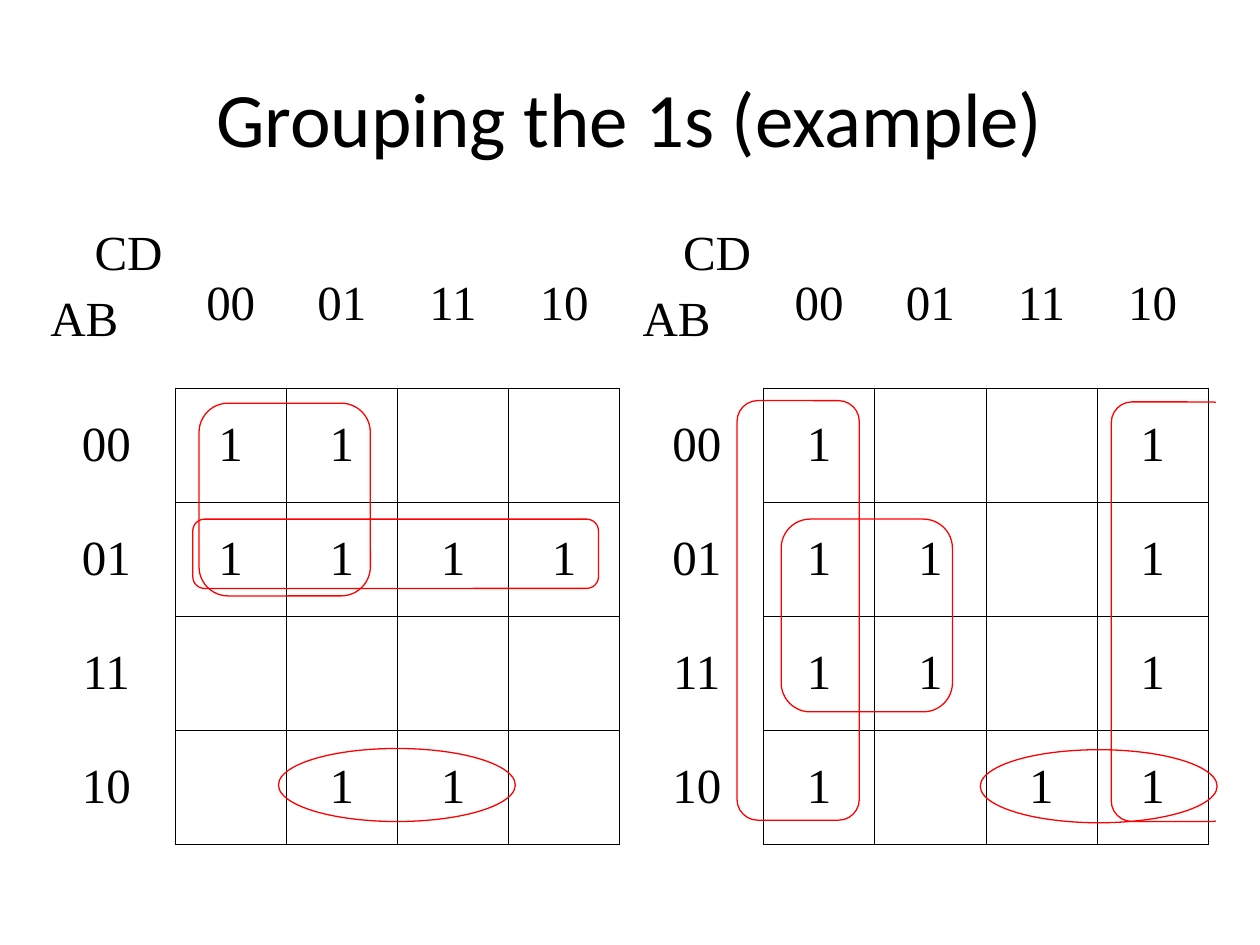
from pptx import Presentation
from pptx.dml.color import RGBColor
from pptx.enum.shapes import MSO_SHAPE as Shape
from pptx.enum.text import MSO_ANCHOR as Anchor, PP_ALIGN as Align
from pptx.oxml import parse_xml
from pptx.oxml.ns import nsdecls
from pptx.util import Inches, Pt

THEME = {
    "ink": "000000", "group": "FF0000", "paper": "FFFFFF",
    "title_font": "Calibri", "title_size": 44,
    "map_font": "Times New Roman", "map_size": 28,
    "space_before": 7, "grid_line": 0.45, "group_line": 0.74,
}


def add_text(para, text, role, align):
    para.alignment = align
    span = para.add_run()
    span.text = text
    span.font.name = THEME[role + "_font"]
    span.font.size = Pt(THEME[role + "_size"])
    span.font.color.rgb = RGBColor.from_string(THEME["ink"])
    if role == "map":
        para.space_before = Pt(THEME["space_before"])


def set_borders(cell, edges):
    for side, drawn in edges.items():
        paint = (f'<a:solidFill><a:srgbClr val="{THEME["ink"]}"/></a:solidFill>'
                 if drawn else "<a:noFill/>")
        cell._tc.get_or_add_tcPr().append(parse_xml(
            f'<a:ln{side} {nsdecls("a")} w="{Pt(THEME["grid_line"])}">{paint}</a:ln{side}>'))


deck = Presentation()
deck.slide_width, deck.slide_height = Inches(10), Inches(7.5)
page = deck.slides.add_slide(deck.slide_layouts[6])

# Title
title_box = page.shapes.add_textbox(Inches(0.5), Inches(0.3), Inches(9), Inches(1.25))
title_box.text_frame.word_wrap = True
title_box.text_frame.vertical_anchor = Anchor.MIDDLE
add_text(title_box.text_frame.paragraphs[0], "Grouping the 1s (example)", "title", Align.CENTER)

# Karnaugh maps: left edge, label column width, one string per row of cells
codes = ["00", "01", "11", "10"]
maps = [
    (0.3, 1.09, ["11..", "1111", "....", ".11."]),
    (5, 1.06, ["1..1", "11.1", "11.1", "1.11"]),
]
top, height, header_height, grid_width = 1.75, 4.95, 1.33, 3.53
for left, label_width, ones in maps:
    table = page.shapes.add_table(5, 5, Inches(left), Inches(top),
                                  Inches(label_width + grid_width), Inches(height)).table
    table.first_row = table.horz_banding = False
    table.columns[0].width = Inches(label_width)
    table.rows[0].height = Inches(header_height)
    for i in range(1, 5):
        table.columns[i].width = Inches(grid_width / 4)
        table.rows[i].height = Inches((height - header_height) / 4)

    rows = [[""] + codes] + [[code, *line.replace(".", " ")] for code, line in zip(codes, ones)]
    for r, row in enumerate(rows):
        for c, text in enumerate(row):
            cell = table.cell(r, c)
            in_grid = r > 0 and c > 0
            set_borders(cell, {"L": in_grid, "R": r > 0, "T": in_grid, "B": c > 0})
            cell.fill.background()
            if text.strip():
                cell.vertical_anchor = Anchor.MIDDLE
                add_text(cell.text_frame.paragraphs[0], text, "map", Align.CENTER)

    # Variable names in the corner
    corner = table.cell(0, 0).text_frame
    add_text(corner.paragraphs[0], "CD", "map", Align.RIGHT)
    add_text(corner.add_paragraph(), "AB", "map", Align.LEFT)

# Groups of ones; the white cover opens the group that wraps round the right edge
groups = [
    (Shape.ROUNDED_RECTANGLE, 1.58, 3.2, 1.36, 1.53),
    (Shape.ROUNDED_RECTANGLE, 1.53, 4.12, 3.22, 0.55),
    (Shape.OVAL, 2.21, 5.94, 1.88, 0.58),
    (Shape.ROUNDED_RECTANGLE, 5.85, 3.18, 0.97, 3.33),
    (Shape.ROUNDED_RECTANGLE, 8.82, 3.19, 0.97, 3.33),
    (Shape.RECTANGLE, 9.65, 3.06, 0.25, 3.53),
    (Shape.ROUNDED_RECTANGLE, 6.2, 4.12, 1.36, 1.53),
    (Shape.OVAL, 7.78, 5.95, 1.88, 0.58),
]
for kind, *place in groups:
    group = page.shapes.add_shape(kind, *map(Inches, place))
    group.shadow.inherit = False
    if kind == Shape.RECTANGLE:
        group.fill.solid()
        group.fill.fore_color.rgb = RGBColor.from_string(THEME["paper"])
        group.line.fill.background()
        continue
    group.fill.background()
    group.line.color.rgb = RGBColor.from_string(THEME["group"])
    group.line.width = Pt(THEME["group_line"])
    if kind == Shape.ROUNDED_RECTANGLE:
        group.adjustments[0] = 0.17

deck.save("out.pptx")
